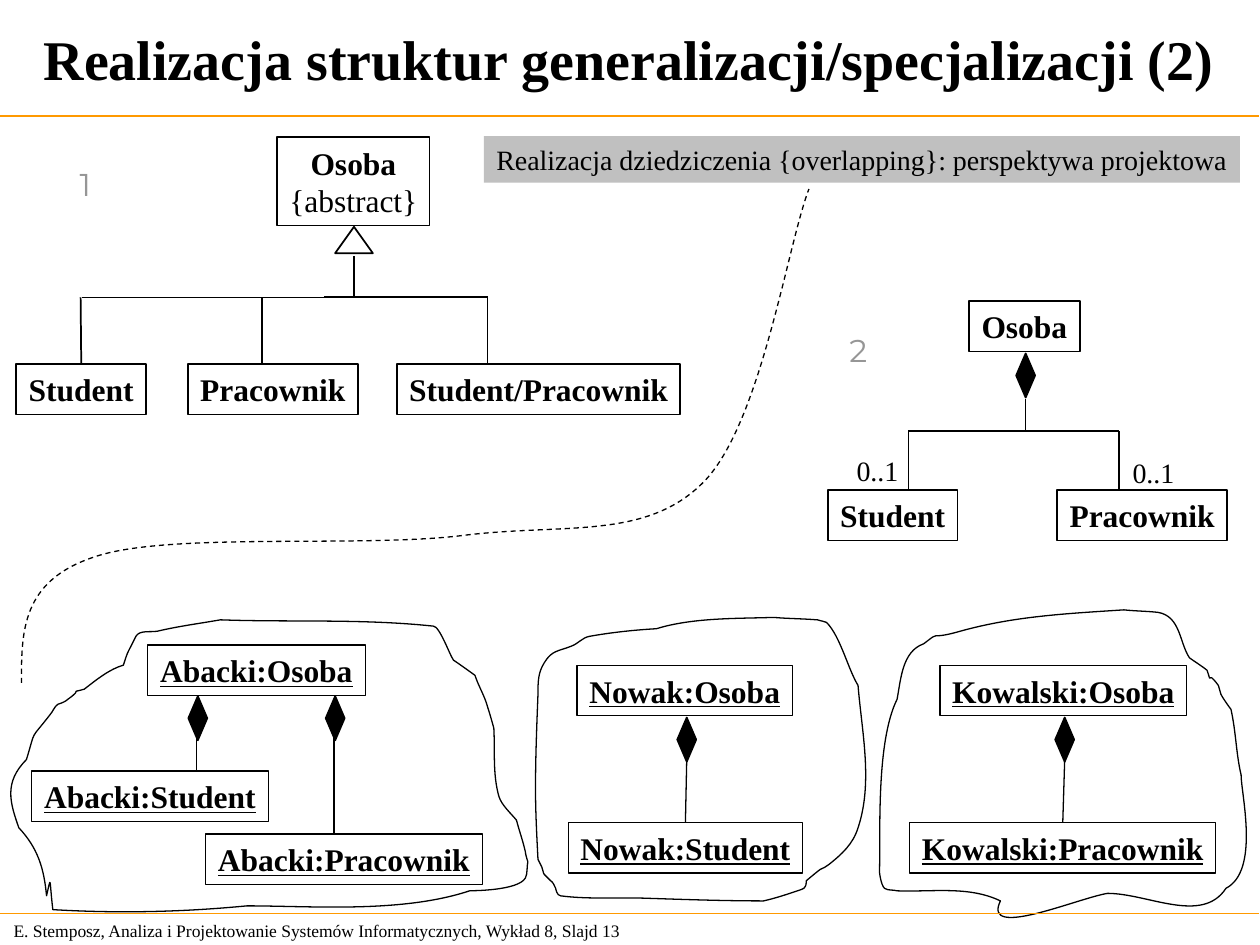
from dataclasses import dataclass
from typing import Optional

from lxml import etree
from pptx import Presentation
from pptx.dml.color import RGBColor
from pptx.enum.dml import MSO_LINE
from pptx.enum.shapes import MSO_CONNECTOR, MSO_SHAPE
from pptx.enum.text import MSO_ANCHOR, MSO_AUTO_SIZE, PP_ALIGN
from pptx.oxml.ns import qn
from pptx.util import Inches, Pt

COLORS = {"ink": "000000", "rule": "FF9900", "banner": "C0C0C0", "number": "969696", "paper": "FFFFFF"}
SERIF = "Times New Roman"
THIN, MEDIUM = 0.75, 1
BOX_HEIGHT = 0.4
DIAMOND_LENGTH, DIAMOND_WIDTH = 0.35, 0.15
Point = tuple[float, float]


@dataclass(frozen=True)
class Box:
    text: str
    left: float
    top: float
    width: float
    height: float = BOX_HEIGHT
    is_object: bool = False  # objects are underlined and have a thinner frame


@dataclass(frozen=True)
class Line:
    start: Point
    end: Point
    weight: float = MEDIUM
    color: str = "ink"
    target: Optional[Box] = None  # box whose top middle the line reaches


@dataclass(frozen=True)
class Label:
    text: str
    left: float
    top: float
    width: float
    height: float
    size: float
    font: str = SERIF
    color: str = "ink"
    bold: bool = False
    align: PP_ALIGN = PP_ALIGN.LEFT
    anchor: MSO_ANCHOR = MSO_ANCHOR.TOP
    wrap: bool = False


@dataclass(frozen=True)
class Curve:
    """A start point and the control points of cubic segments, three to a segment."""
    points: list[Point]
    closed: bool = True


STUDENT = Box("Student", 0.13, 2.89, 1.03)
NOWAK_STUDENT = Box("Nowak:Student", 4.51, 6.53, 1.86, is_object=True)
KOWALSKI_PRACOWNIK = Box("Kowalski:Pracownik", 7.22, 6.53, 2.43, is_object=True)
BOXES = [
    Box("Osoba\n{abstract}", 2.2, 1.09, 1.21, 0.7),
    STUDENT,
    Box("Pracownik", 1.49, 2.89, 1.35),
    Box("Student/Pracownik", 3.15, 2.89, 2.25),
    Box("Osoba", 7.69, 2.39, 0.88),
    Box("Student", 6.57, 3.89, 1.03),
    Box("Pracownik", 8.39, 3.89, 1.35),
    Box("Abacki:Osoba", 1.17, 5.12, 1.73, is_object=True),
    Box("Abacki:Student", 0.25, 6.12, 1.88, is_object=True),
    Box("Abacki:Pracownik", 1.63, 6.62, 2.2, is_object=True),
    Box("Nowak:Osoba", 4.58, 5.28, 1.71, is_object=True),
    NOWAK_STUDENT,
    Box("Kowalski:Osoba", 7.46, 5.28, 1.96, is_object=True),
    KOWALSKI_PRACOWNIK,
]
DIAMOND_CENTERS = [(8.14, 2.98), (1.57, 5.7), (2.66, 5.7), (5.45, 5.87), (8.45, 5.87)]
LINES = [
    *(Line((-0.01, y), (9.99, y), THIN, "rule") for y in (0.92, 7.25)),
    Line((2.81, 2.03), (2.81, 2.36)),
    Line((0.65, 2.36), (2.57, 2.36), THIN),
    Line((2.57, 2.36), (3.87, 2.36)),
    Line((0.64, 2.36), (0.64, 2.89), target=STUDENT),
    *(Line((x, 2.36), (x, 2.89)) for x in (2.08, 3.87)),
    Line((8.14, 3.17), (8.14, 3.42)),
    Line((7.21, 3.42), (8.88, 3.42)),
    *(Line((x, 3.42), (x, 3.89)) for x in (7.21, 8.88)),
    Line((1.56, 5.86), (1.56, 6.11), THIN),
    Line((2.65, 5.86), (2.65, 6.61), THIN),
    Line((5.45, 6.04), (5.44, 6.53), THIN, target=NOWAK_STUDENT),
    Line((8.45, 6.04), (8.44, 6.53), THIN, target=KOWALSKI_PRACOWNIK),
]
LABELS = [
    Label("E. Stemposz, Analiza i Projektowanie Systemów Informatycznych, Wykład 8, Slajd 13",
          0.01, 7.25, 5.24, 0.27, 10, anchor=MSO_ANCHOR.MIDDLE, wrap=True),
    Label("Realizacja struktur generalizacji/specjalizacji (2)", 0, 0, 9.99, 0.92, 32, bold=True,
          align=PP_ALIGN.CENTER, anchor=MSO_ANCHOR.MIDDLE, wrap=True),
    Label("0..1", 6.7, 3.55, 0.53, 0.37, 16),
    Label("0..1", 8.89, 3.57, 0.53, 0.37, 16),
    Label("1", 0.56, 1.26, 0.17, 0.34, 18, "Montserrat", "number"),
    Label("2", 6.67, 2.58, 0.17, 0.34, 18, "Montserrat", "number"),
]
BANNER = Label("Realizacja dziedziczenia {overlapping}: perspektywa projektowa",
               3.84, 1.08, 6, 0.37, 16, align=PP_ALIGN.CENTER)
ABACKI_OUTLINE = Curve([
    (0.37, 7.11), (0.35, 6.89), (0.3, 6.73), (0.15, 6.57), (0.08, 6.37), (0.03, 6.21), (0.21, 6.03),
    (0.29, 5.77), (0.23, 5.89), (0.4, 5.67), (0.42, 5.65), (0.43, 5.61), (0.46, 5.59),
    (0.49, 5.58), (0.52, 5.57), (0.54, 5.55), (0.68, 5.45), (0.53, 5.51), (0.67, 5.47),
    (0.76, 5.4), (0.87, 5.31), (0.98, 5.28), (1.02, 5.16), (0.99, 5.23), (1.08, 5.05),
    (1.11, 5), (1.19, 5.02), (1.25, 5.01), (1.42, 4.97), (1.58, 4.95), (1.75, 4.92),
    (2.31, 4.94), (2.88, 4.91), (3.44, 4.97), (3.49, 4.97), (3.57, 5.2), (3.6, 5.24),
    (3.66, 5.28), (3.77, 5.36), (3.77, 5.36), (3.8, 5.45), (3.85, 5.53), (3.87, 5.61),
    (3.89, 5.67), (3.92, 5.78), (3.92, 5.78), (3.93, 5.96), (3.91, 6.14), (3.96, 6.32),
    (3.98, 6.39), (4.06, 6.46), (4.1, 6.51), (4.12, 6.59), (4.15, 6.67), (4.17, 6.76),
    (4.17, 6.78), (4.19, 6.84), (4.19, 6.84), (4.18, 6.88), (4.19, 6.93), (4.17, 6.97),
    (4.11, 7.07), (3.75, 7.07), (3.73, 7.07), (3.19, 7.25), (2.47, 7.19), (1.96, 7.19),
    (1.44, 7.24), (0.93, 7.25), (0.42, 7.22), (0.39, 6.97), (0.41, 6.94), (0.37, 7.11)])
NOWAK_OUTLINE = Curve([
    (4.41, 7.05), (4.4, 7.03), (4.39, 7), (4.37, 6.99), (4.36, 6.97), (4.33, 6.96), (4.32, 6.94),
    (4.31, 6.93), (4.31, 6.9), (4.3, 6.88), (4.29, 6.86), (4.28, 6.84), (4.27, 6.82),
    (4.26, 6.63), (4.25, 6.44), (4.25, 6.26), (4.25, 6.01), (4.26, 5.76), (4.27, 5.51),
    (4.27, 5.41), (4.27, 5.34), (4.32, 5.26), (4.38, 5.16), (4.43, 5.17), (4.53, 5.13),
    (4.59, 5.11), (4.62, 5.06), (4.68, 5.05), (4.85, 5.02), (5.03, 5), (5.21, 4.99),
    (5.5, 4.9), (5.86, 4.91), (6.14, 4.9), (6.25, 4.91), (6.37, 4.91), (6.49, 4.92),
    (6.52, 4.93), (6.54, 4.93), (6.56, 4.94), (6.67, 5.05), (6.73, 5.31), (6.81, 5.44),
    (6.84, 5.81), (6.93, 6.21), (6.81, 6.57), (6.77, 6.7), (6.68, 6.78), (6.58, 6.86),
    (6.56, 6.88), (6.53, 6.89), (6.51, 6.9), (6.47, 6.93), (6.4, 6.99), (6.4, 6.99),
    (6.4, 7.01), (6.4, 7.03), (6.38, 7.05), (6.37, 7.06), (6.35, 7.06), (6.33, 7.07),
    (6.24, 7.1), (6.15, 7.13), (6.06, 7.15), (5.76, 7.15), (5.46, 7.14), (5.16, 7.13),
    (4.92, 7.12), (4.68, 7.14), (4.45, 7.11), (4.42, 7.11), (4.41, 7.05), (4.41, 7.05)])
KOWALSKI_OUTLINE = Curve([
    (7.94, 7.15), (7.69, 7.03), (7.41, 7.08), (7.12, 7.07), (7.09, 7.06), (7.05, 7.07), (7.02, 7.05),
    (6.99, 7.02), (6.98, 6.92), (6.98, 6.92), (6.99, 6.63), (6.95, 5.89), (7.12, 5.55),
    (7.15, 5.39), (7.16, 5.17), (7.33, 5.11), (7.49, 4.99), (7.34, 5.09), (7.62, 5.01),
    (8.05, 4.89), (8.46, 4.87), (8.92, 4.84), (9.01, 4.85), (9.1, 4.85), (9.19, 4.86),
    (9.37, 4.89), (9.36, 5.1), (9.44, 5.22), (9.45, 5.23), (9.56, 5.3), (9.58, 5.32),
    (9.63, 5.47), (9.56, 5.29), (9.67, 5.44), (9.68, 5.46), (9.68, 5.49), (9.69, 5.51),
    (9.71, 5.55), (9.77, 5.63), (9.77, 5.63), (9.81, 5.81), (9.81, 5.98), (9.85, 6.15),
    (9.85, 6.3), (10, 6.91), (9.73, 7.05), (9.54, 7.34), (9.11, 7.09), (8.79, 7.09),
    (8.55, 7.13), (7.79, 7.46), (7.94, 7.15)])
DIVIDER = Curve([
    (0.17, 5.42), (0.17, 5.01), (0.17, 4.61), (0.75, 4.42), (1.33, 4.22), (2.86, 4.35), (3.67, 4.25),
    (4.47, 4.15), (5.12, 4.29), (5.58, 3.83), (6.04, 3.37), (6.25, 1.94), (6.42, 1.5)], closed=False)


def rgb(name: str) -> RGBColor:
    return RGBColor.from_string(COLORS[name])


def style_shape(shape, weight: Optional[float] = None, fill: Optional[str] = None) -> None:
    shape.shadow.inherit = False
    if fill:
        shape.fill.solid()
        shape.fill.fore_color.rgb = rgb(fill)
    else:
        shape.fill.background()
    if weight:
        shape.line.color.rgb = rgb("ink")
        shape.line.width = Pt(weight)
    else:
        shape.line.fill.background()


def add_preset(slide, kind: MSO_SHAPE, left: float, top: float, width: float, height: float):
    return slide.shapes.add_shape(kind, Inches(left), Inches(top), Inches(width), Inches(height))


def write_text(shape, label: Label) -> None:
    frame = shape.text_frame
    frame.word_wrap = label.wrap
    frame.auto_size = MSO_AUTO_SIZE.NONE
    frame.vertical_anchor = label.anchor
    frame.text = label.text
    for paragraph in frame.paragraphs:
        paragraph.alignment = label.align
        font = paragraph.font
        font.name, font.size, font.bold = label.font, Pt(label.size), label.bold
        font.color.rgb = rgb(label.color)


def draw_label(slide, label: Label) -> None:
    write_text(slide.shapes.add_textbox(Inches(label.left), Inches(label.top),
                                        Inches(label.width), Inches(label.height)), label)


def draw_box(slide, box: Box):
    shape = add_preset(slide, MSO_SHAPE.RECTANGLE, box.left, box.top, box.width, box.height)
    style_shape(shape, THIN if box.is_object else MEDIUM)
    write_text(shape, Label(box.text, box.left, box.top, box.width, box.height, 18, bold=True,
                            align=PP_ALIGN.CENTER, anchor=MSO_ANCHOR.MIDDLE))
    name, *constraints = shape.text_frame.paragraphs
    name.font.underline = box.is_object
    for paragraph in constraints:
        paragraph.font.bold = False
    return shape


def draw_diamond(slide, center: Point) -> None:
    x, y = center
    shape = add_preset(slide, MSO_SHAPE.DIAMOND, x - DIAMOND_LENGTH / 2, y - DIAMOND_WIDTH / 2,
                       DIAMOND_LENGTH, DIAMOND_WIDTH)
    shape.rotation = 90
    style_shape(shape, MEDIUM, "ink")


def draw_line(slide, line: Line, box_shapes: dict) -> None:
    connector = slide.shapes.add_connector(MSO_CONNECTOR.STRAIGHT, *map(Inches, line.start + line.end))
    if line.target:
        connector.end_connect(box_shapes[line.target], 0)
    connector.line.color.rgb = rgb(line.color)
    connector.line.width = Pt(line.weight)
    etree.SubElement(connector.element.spPr, qn("a:effectLst"))


def draw_curve(slide, curve: Curve):
    """Draw a polygon through the control points, then merge its sides by threes into curves."""
    start, *rest = [(Inches(x), Inches(y)) for x, y in curve.points]
    builder = slide.shapes.build_freeform(*start)
    builder.add_line_segments(rest, close=curve.closed)
    shape = builder.convert_to_shape()
    sides = list(shape.element.iter(qn("a:lnTo")))
    for index in range(0, len(sides), 3):
        segment = etree.Element(qn("a:cubicBezTo"))
        sides[index].addprevious(segment)
        for side in sides[index:index + 3]:
            segment.append(side[0])
            side.getparent().remove(side)
    style_shape(shape, THIN)
    return shape


def main() -> None:
    presentation = Presentation()
    presentation.slide_width, presentation.slide_height = Inches(10), Inches(7.5)
    slide = presentation.slides.add_slide(presentation.slide_layouts[6])

    for label in LABELS:
        draw_label(slide, label)
    banner = add_preset(slide, MSO_SHAPE.RECTANGLE, BANNER.left, BANNER.top, BANNER.width, BANNER.height)
    style_shape(banner, fill="banner")
    write_text(banner, BANNER)

    for outline in (ABACKI_OUTLINE, NOWAK_OUTLINE, KOWALSKI_OUTLINE):
        draw_curve(slide, outline)
    draw_curve(slide, DIVIDER).line.dash_style = MSO_LINE.DASH

    box_shapes = {box: draw_box(slide, box) for box in BOXES}
    triangle = add_preset(slide, MSO_SHAPE.ISOSCELES_TRIANGLE, 2.66, 1.8, 0.3, 0.21)
    style_shape(triangle, MEDIUM, "paper")
    for center in DIAMOND_CENTERS:
        draw_diamond(slide, center)
    for line in LINES:
        draw_line(slide, line, box_shapes)

    presentation.save("out.pptx")


if __name__ == "__main__":
    main()
